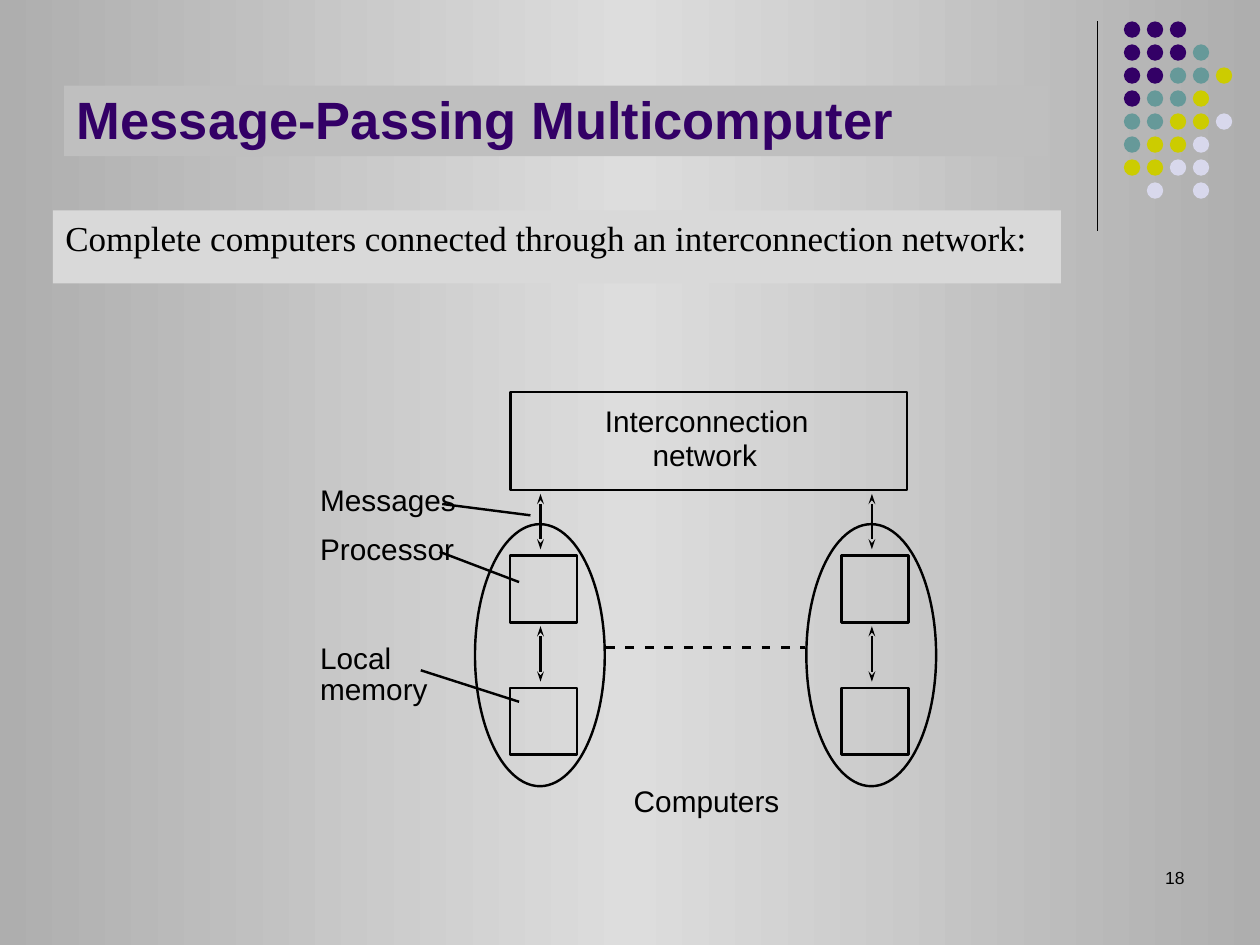
from copy import deepcopy

from lxml.etree import SubElement
from pptx import Presentation
from pptx.dml.color import RGBColor
from pptx.enum.shapes import MSO_CONNECTOR, MSO_SHAPE
from pptx.enum.text import MSO_ANCHOR, MSO_AUTO_SIZE, PP_ALIGN
from pptx.oxml.ns import qn
from pptx.util import Inches, Pt

# Content
TITLE = "Message-Passing Multicomputer"
STATEMENT = "Complete computers connected through an interconnection network:"
PAGE_NUMBER = "18"
LABELS = [  # text, left, top, width
    ("Interconnection", 4.8, 3.2, 1.62),
    ("network", 5.18, 3.47, 0.83),
    ("Messages", 2.54, 3.82, 1.08),
    ("Processor", 2.54, 4.21, 1.07),
    ("Local", 2.54, 5.08, 0.57),
    ("memory", 2.54, 5.32, 0.86),
    ("Computers", 5.03, 6.21, 1.16),
]
POINTERS = [  # from label to part
    ((3.51, 4), (4.21, 4.09)),
    ((3.49, 4.38), (4.12, 4.62)),
    ((3.34, 5.32), (4.12, 5.57)),
]
NETWORK_BOX = (4.05, 3.11, 3.15, 0.78)
COMPUTER_LEFTS = (3.77, 6.4)
PART_TOPS = (4.41, 5.46)  # processor, local memory
MESSAGE_SPANS = ((3.92, 4.36), (4.97, 5.41))

# Corner dots: one letter per dot, one string per row
DOT_COLOURS = {"P": "330066", "T": "669999", "Y": "CCCC00", "L": "D8D8EC"}
DOT_ROWS = ["PPP", "PPPT", "PPTTY", "PTTY", "TTYYL", "TYYL", "YYLL", " L L"]
DOT_LEFT, DOT_TOP, DOT_SIZE = 8.92, 0.17, 0.13
DOT_STEP = (9.65 - DOT_LEFT) / 4

BACKGROUND = [(0, "AEAEAE"), (0.5, "DDDDDD"), (1, "AEAEAE")]
BLACK = "000000"
LINE_WIDTH = 1.39


def paint(color, value):
    color.rgb = RGBColor.from_string(value)


def fill_with(shape, value):
    shape.fill.solid()
    paint(shape.fill.fore_color, value)


def place(shape, left, top, width, height):
    shape.left, shape.top = Inches(left), Inches(top)
    shape.width, shape.height = Inches(width), Inches(height)


def write(shape, text, size, font="Arial", color=BLACK, bold=False):
    paragraph = shape.text_frame.paragraphs[0]
    paragraph.text = text
    paragraph.font.name = font
    paragraph.font.size = Pt(size)
    paragraph.font.bold = bold
    paint(paragraph.font.color, color)
    return paragraph


def add_text_box(slide, box):
    shape = slide.shapes.add_textbox(*map(Inches, box))
    shape.text_frame.word_wrap = True
    return shape


def add_outline(slide, kind, box):
    shape = slide.shapes.add_shape(kind, *map(Inches, box))
    shape.shadow.inherit = False
    shape.fill.background()
    paint(shape.line.color, BLACK)
    shape.line.width = Pt(LINE_WIDTH)
    return shape


def add_line(slide, start, end, width=LINE_WIDTH):
    line = slide.shapes.add_connector(
        MSO_CONNECTOR.STRAIGHT, *map(Inches, (*start, *end)))
    paint(line.line.color, BLACK)
    line.line.width = Pt(width)
    SubElement(line.element.spPr, qn("a:effectLst"))
    return line


def add_arrowheads(line):
    outline = line.line._get_or_add_ln()
    for end in ("a:headEnd", "a:tailEnd"):
        SubElement(outline, qn(end), type="stealth", w="sm", len="med")


def set_dashes(line):
    dashes = SubElement(line.line._get_or_add_ln(), qn("a:custDash"))
    SubElement(dashes, qn("a:ds"), d="360000", sp="440000")


def set_background(slide):
    fill = slide.background.fill
    fill.gradient()
    fill.gradient_angle = 0
    stop_list = next(slide.element.iter(qn("a:gsLst")))
    stop_list.append(deepcopy(stop_list[0]))
    for stop, (position, value) in zip(fill.gradient_stops, BACKGROUND):
        stop.position = position
        paint(stop.color, value)


def add_corner(slide):
    add_line(slide, (8.71, 0.17), (8.71, 1.83), 0.75)
    for row, letters in enumerate(DOT_ROWS):
        for column, letter in enumerate(letters):
            if letter in DOT_COLOURS:
                box = (DOT_LEFT + column * DOT_STEP, DOT_TOP + row * DOT_STEP,
                       DOT_SIZE, DOT_SIZE)
                dot = add_outline(slide, MSO_SHAPE.OVAL, box)
                fill_with(dot, DOT_COLOURS[letter])
                dot.line.fill.background()


def add_texts(slide):
    title = slide.shapes.title
    place(title, 0.51, 0.68, 7.81, 0.56)
    fill_with(title, "BFBFBF")
    title.text_frame.vertical_anchor = MSO_ANCHOR.BOTTOM
    title.text_frame.auto_size = MSO_AUTO_SIZE.NONE
    write(title, TITLE, 30, color="330066", bold=True).alignment = PP_ALIGN.LEFT

    statement = add_text_box(slide, (0.42, 1.67, 8, 0.58))
    fill_with(statement, "D9D9D9")
    write(statement, STATEMENT, 20, "Times New Roman").space_before = Pt(5)

    number = add_text_box(slide, (7.17, 6.83, 2.33, 0.5))
    write(number, PAGE_NUMBER, 10).alignment = PP_ALIGN.RIGHT


def add_diagram(slide):
    add_outline(slide, MSO_SHAPE.RECTANGLE, NETWORK_BOX)

    # Computers with their parts and message arrows
    for left in COMPUTER_LEFTS:
        for top in PART_TOPS:
            add_outline(slide, MSO_SHAPE.RECTANGLE, (left + 0.28, top, 0.53, 0.53))
        add_outline(slide, MSO_SHAPE.OVAL, (left, 4.16, 1.03, 2.08))
        center = left + 0.52
        for top, bottom in MESSAGE_SPANS:
            add_arrowheads(add_line(slide, (center, top), (center, bottom)))
    set_dashes(add_line(slide, (4.81, 5.14), (6.39, 5.14)))

    # Labels and their pointers
    for text, left, top, width in LABELS:
        label = add_text_box(slide, (left, top, width, 0.28))
        frame = label.text_frame
        frame.word_wrap = False
        frame.auto_size = MSO_AUTO_SIZE.SHAPE_TO_FIT_TEXT
        frame.margin_left = frame.margin_right = 0
        frame.margin_top = frame.margin_bottom = 0
        write(label, text, 17)
    for start, end in POINTERS:
        add_line(slide, start, end)


def main():
    presentation = Presentation()
    presentation.slide_width, presentation.slide_height = Inches(10), Inches(7.5)
    slide = presentation.slides.add_slide(presentation.slide_layouts[5])
    set_background(slide)
    add_corner(slide)
    add_texts(slide)
    add_diagram(slide)
    presentation.save("out.pptx")


if __name__ == "__main__":
    main()
